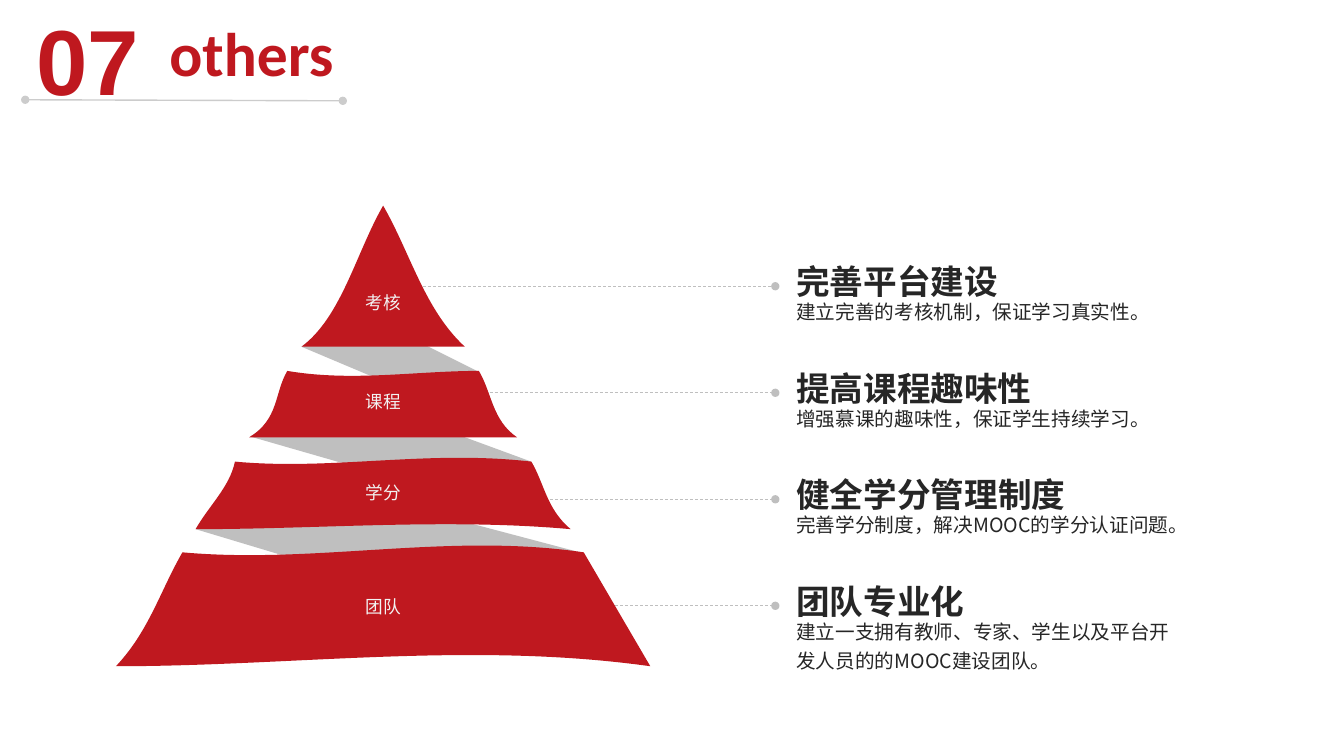
"""Build the "07 others" slide: a four-tier ribbon pyramid with a note for each tier."""
from lxml import etree
from pptx import Presentation
from pptx.dml.color import RGBColor
from pptx.enum.dml import MSO_LINE
from pptx.enum.shapes import MSO_CONNECTOR
from pptx.enum.text import MSO_ANCHOR, MSO_AUTO_SIZE, PP_ALIGN
from pptx.oxml.ns import qn
from pptx.util import Inches, Pt

STRAIGHT = MSO_CONNECTOR.STRAIGHT
DASH = MSO_LINE.DASH
TOP, MIDDLE = MSO_ANCHOR.TOP, MSO_ANCHOR.MIDDLE
LEFT, CENTER = PP_ALIGN.LEFT, PP_ALIGN.CENTER
NO_AUTOFIT = MSO_AUTO_SIZE.NONE
TITLE_ONLY = 5

RED, GRAY, LIGHT_GRAY = "BF181F", "BFBFBF", "CCCCCC"
DARK, PALE = "262626", "F2F2F2"
CJK = "Noto Sans CJK SC"
FIRST_LEADER, LAST_LEADER = 2.84, 6.01

# Each outline is a start point, then line ends (one point) or cubic curves (three points).
BANDS = [
    (GRAY, (5.1, 4.33), [[(2.99, 3.44)], [(3.17, 3.31), (3.27, 3.19), (3.35, 2.99)],
                         [(4.75, 3.69)], [(4.88, 3.9), (4.87, 4.13), (5.1, 4.33)]]),
    (RED, (3.8, 2.04), [[(4.07, 2.51), (4.21, 3.07), (4.61, 3.44)], [(2.99, 3.44)],
                        [(3.39, 3.14), (3.53, 2.51), (3.8, 2.04)]]),
    (GRAY, (5.64, 5.24), [[(2.48, 4.33)], [(2.77, 4.18), (2.73, 3.9), (2.85, 3.69)],
                          [(5.27, 4.58)], [(5.39, 4.8), (5.42, 5.08), (5.64, 5.24)]]),
    (RED, (2.85, 3.68), [[(3.5, 3.79), (4.12, 3.68), (4.75, 3.68)],
                         [(4.88, 3.9), (4.88, 4.17), (5.13, 4.34)], [(2.47, 4.34)],
                         [(2.77, 4.16), (2.72, 3.9), (2.85, 3.68)]]),
    (GRAY, (6.43, 6.6), [[(1.94, 5.25)], [(2.1, 5.03), (2.32, 4.86), (2.35, 4.58)],
                         [(5.79, 5.49)], [(6.43, 6.6)]]),
    (RED, (2.33, 4.58), [[(3.3, 4.67), (4.24, 4.46), (5.27, 4.58)],
                         [(5.4, 4.8), (5.42, 5.05), (5.66, 5.25)],
                         [(4.43, 5.14), (3.18, 5.25), (1.94, 5.25)],
                         [(2.07, 5.02), (2.28, 4.83), (2.33, 4.58)]]),
    (RED, (1.81, 5.48), [[(3.14, 5.6), (4.44, 5.28), (5.79, 5.48)], [(6.45, 6.61)],
                         [(4.66, 6.36), (2.92, 6.61), (1.15, 6.61)],
                         [(1.48, 6.26), (1.59, 5.86), (1.81, 5.48)]]),
]

# Tier label, label top, leader start, heading, heading width, detail, detail height
TIERS = [
    ("考核", 2.84, 4.05, "完善平台建设", 2.66, "建立完善的考核机制，保证学习真实性。", 0.39),
    ("课程", 3.82, 4.61, "提高课程趣味性", 2.66, "增强慕课的趣味性，保证学生持续学习。", 0.39),
    ("学分", 4.72, 5.21, "健全学分管理制度", 3.09, "完善学分制度，解决MOOC的学分认证问题。", 0.39),
    ("团队", 5.85, 5.21, "团队专业化", 2.66,
     "建立一支拥有教师、专家、学生以及平台开发人员的的MOOC建设团队。", 0.69),
]
ROW_PITCH = (LAST_LEADER - FIRST_LEADER) / (len(TIERS) - 1)


def color(hex_code):
    """Turn a hex string into a colour."""
    return RGBColor.from_string(hex_code)


def format_text(frame, text, size, font, hex_code, bold=False, align=LEFT, spacing=None):
    """Write one paragraph into a text frame and format it."""
    frame.text = text
    paragraph = frame.paragraphs[0]
    paragraph.alignment = align
    if spacing:
        paragraph.line_spacing = spacing
    paragraph.font.size = Pt(size)
    paragraph.font.bold = bold
    paragraph.font.color.rgb = color(hex_code)
    paragraph.font.name = font
    if font == CJK:
        properties = paragraph._p.pPr.find(qn("a:defRPr"))
        etree.SubElement(properties, qn("a:ea")).set("typeface", font)


def clear_margins(frame):
    """Remove the inner margins of a text frame."""
    frame.margin_left = frame.margin_right = frame.margin_top = frame.margin_bottom = 0


def add_text(slide, box, text, *style, wrap=True, anchor=TOP, **options):
    """Add a text box and return its frame."""
    frame = slide.shapes.add_textbox(*map(Inches, box)).text_frame
    frame.word_wrap = wrap
    frame.vertical_anchor = anchor
    format_text(frame, text, *style, **options)
    return frame


def add_line(slide, start, end, hex_code, width, ends, dash=None):
    """Add a straight line with round ends where named."""
    line = slide.shapes.add_connector(STRAIGHT, *map(Inches, start + end))
    line.line.color.rgb = color(hex_code)
    line.line.width = Pt(width)
    if dash:
        line.line.dash_style = dash
    outline = line.line._get_or_add_ln()
    for end_tag in ends:
        etree.SubElement(outline, qn(end_tag)).set("type", "oval")
    etree.SubElement(line._element.spPr, qn("a:effectLst"))


def bend_sides(band, segments):
    """Turn the sides of a band that have control points into cubic curves."""
    sides = list(band._element.iter(qn("a:lnTo")))
    for side, segment in zip(sides, segments):
        if len(segment) == 1:
            continue
        side.tag = qn("a:cubicBezTo")
        end_point = side[0]
        for x, y in segment[:-1]:
            control = etree.Element(qn("a:pt"))
            control.set("x", str(Inches(x) - band.left))
            control.set("y", str(Inches(y) - band.top))
            end_point.addprevious(control)


def add_band(slide, hex_code, start, segments):
    """Add one filled band of the pyramid."""
    builder = slide.shapes.build_freeform(*map(Inches, start))
    builder.add_line_segments([tuple(map(Inches, segment[-1])) for segment in segments])
    band = builder.convert_to_shape()
    bend_sides(band, segments)
    band.shadow.inherit = False
    band.fill.solid()
    band.fill.fore_color.rgb = color(hex_code)
    band.line.fill.background()


def add_header(slide):
    """Place the section number, its rule and the title."""
    number = add_text(slide, (0.1, 0.03, 1.54, 1.11), "07", 66, "Arial", RED,
                      bold=True, align=CENTER)
    clear_margins(number)
    add_line(slide, (0.25, 0.99), (3.4, 1), LIGHT_GRAY, 1, ("a:headEnd", "a:tailEnd"))
    title = slide.shapes.title
    title.left, title.top, title.width, title.height = map(Inches, (1.68, 0.15, 4.69, 2.22))
    frame = title.text_frame
    frame.auto_size = NO_AUTOFIT
    frame.vertical_anchor = TOP
    clear_margins(frame)
    format_text(frame, "others", 44, "Calibri", RED, bold=True)


def add_note(slide, row, heading, heading_width, detail, detail_height):
    """Add the heading and detail beside one tier."""
    offset = row * ROW_PITCH
    add_text(slide, (7.8, 2.87 + offset, 3.96, detail_height), detail, 14, CJK, DARK,
             spacing=1.25)
    add_text(slide, (7.8, 2.46 + offset, heading_width, 0.58), heading, 24, CJK, DARK,
             bold=True, spacing=1.2)


def main():
    """Build and save the slide."""
    deck = Presentation()
    deck.slide_width, deck.slide_height = Inches(13.33), Inches(7.5)
    slide = deck.slides.add_slide(deck.slide_layouts[TITLE_ONLY])
    for row, (_, _, leader_start, *_) in enumerate(TIERS):
        y = FIRST_LEADER + row * ROW_PITCH
        add_line(slide, (leader_start, y), (7.69, y), GRAY, 0.5, ("a:tailEnd",), DASH)
    for band in BANDS:
        add_band(slide, *band)
    for row, (label, label_top, _, *note) in enumerate(TIERS):
        add_text(slide, (3.42, label_top, 0.76, 0.33), label, 12.6, "Arial", PALE,
                 wrap=False, anchor=MIDDLE, align=CENTER)
        add_note(slide, row, *note)
    add_header(slide)
    deck.save("out.pptx")


if __name__ == "__main__":
    main()
